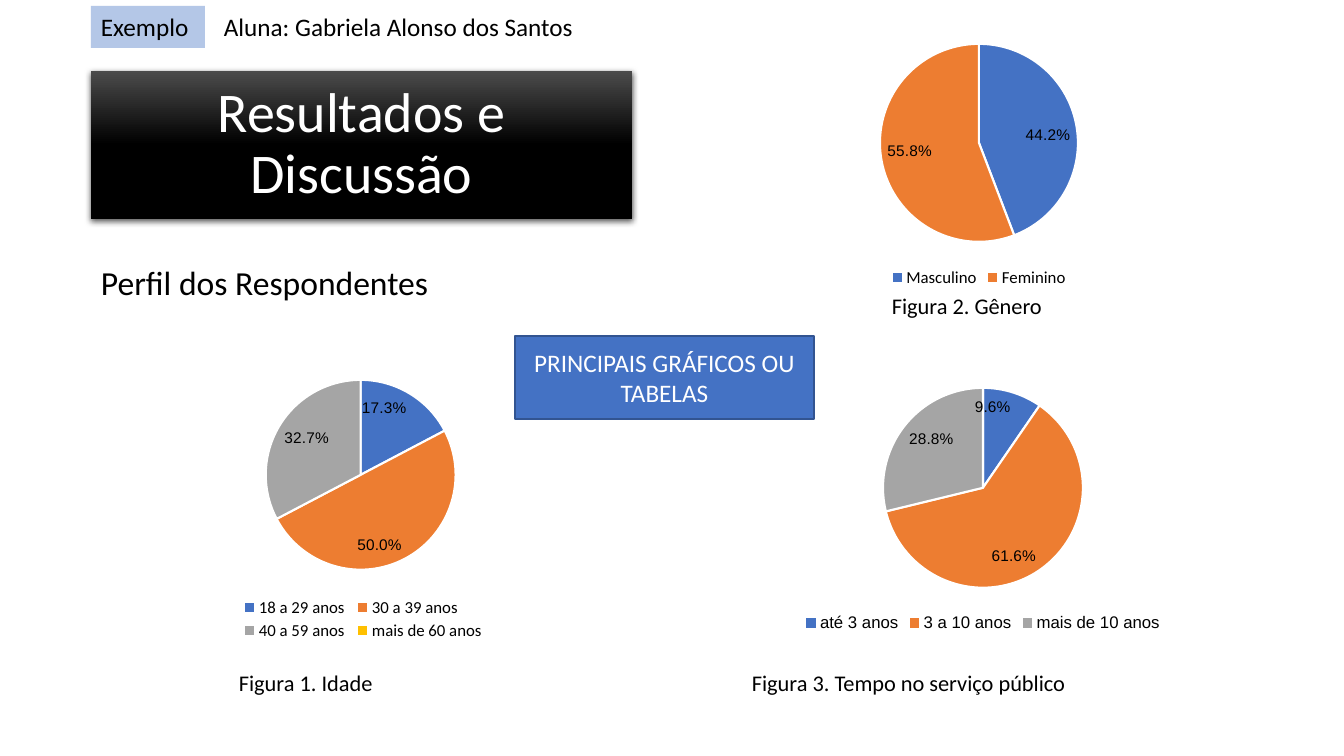
from lxml import etree
from pptx import Presentation
from pptx.chart.data import CategoryChartData
from pptx.dml.color import RGBColor
from pptx.enum.chart import XL_CHART_TYPE, XL_LABEL_POSITION, XL_LEGEND_POSITION
from pptx.enum.shapes import MSO_SHAPE
from pptx.enum.text import MSO_ANCHOR, PP_ALIGN
from pptx.oxml import parse_xml
from pptx.oxml.ns import qn
from pptx.util import Emu, Pt

PIXELS_PER_INCH = 100.8
SLICE_COLORS = ["4472C4", "ED7D31", "A5A5A5", "FFC000"]
CHART_WIDTH = 476
TITLE_SHADOW = (
    '<a:effectLst xmlns:a="http://schemas.openxmlformats.org/drawingml/2006/main">'
    '<a:outerShdw blurRad="57150" dist="19050" dir="5400000" algn="ctr" rotWithShape="0">'
    '<a:srgbClr val="000000"><a:alpha val="63000"/></a:srgbClr>'
    '</a:outerShdw></a:effectLst>'
)


def px(length):
    return Emu(round(length * 914400 / PIXELS_PER_INCH))


def color(value):
    return RGBColor.from_string(value)


def set_font(font, size, value="000000", name="Calibri"):
    font.size = Pt(size)
    font.name = name
    font.color.rgb = color(value)


def write(shape, text, size, value="000000", align=PP_ALIGN.LEFT, spacing=1.0,
          anchor=MSO_ANCHOR.TOP):
    frame = shape.text_frame
    frame.word_wrap = True
    frame.vertical_anchor = anchor
    para = frame.paragraphs[0]
    para.text = text
    para.alignment = align
    para.line_spacing = spacing
    set_font(para.font, size, value)
    return para


def add_text(page, text, area, size, **style):
    box = page.shapes.add_textbox(*map(px, area))
    return write(box, text, size, **style)


def add_caption(page, text, left, top, width=476):
    add_text(page, text, (left, top, width, 39), 16,
             align=PP_ALIGN.JUSTIFY, spacing=1.15)


def add_rectangle(page, area, fill=None, line=None):
    shape = page.shapes.add_shape(MSO_SHAPE.RECTANGLE, *map(px, area))
    shape.shadow.inherit = False
    if fill:
        shape.fill.solid()
        shape.fill.fore_color.rgb = color(fill)
    if line:
        shape.line.color.rgb = color(line)
        shape.line.width = Pt(1)
    else:
        shape.line.fill.background()
    return shape


def add_title(page, text):
    shape = add_rectangle(page, (91, 71, 541, 148))
    shape.fill.gradient()
    shape.fill.gradient_angle = 270
    for stop, position, value in zip(shape.fill.gradient_stops, (0, 0.5),
                                     ("4B4B4B", "000000")):
        stop.position = position
        stop.color.rgb = color(value)
    properties = shape._element.spPr
    properties.replace(properties.find(qn("a:effectLst")), parse_xml(TITLE_SHADOW))
    write(shape, text, 40, "FFFFFF", PP_ALIGN.CENTER, 0.9, MSO_ANCHOR.MIDDLE)


def manual_layout(target, **fractions):
    """Place a plot area or legend by fractions of the chart's size."""
    layout = target.find(qn("c:layout"))
    if layout is None:
        layout = etree.Element(qn("c:layout"))
        position = target.find(qn("c:legendPos"))
        if position is None:
            target.insert(0, layout)
        else:
            position.addnext(layout)
    for child in list(layout):
        layout.remove(child)
    manual = etree.SubElement(layout, qn("c:manualLayout"))
    if target.tag == qn("c:plotArea"):
        etree.SubElement(manual, qn("c:layoutTarget")).set("val", "inner")
    for mode in ("xMode", "yMode"):
        etree.SubElement(manual, qn(f"c:{mode}")).set("val", "edge")
    for key, value in fractions.items():
        etree.SubElement(manual, qn(f"c:{key}")).set("val", f"{value:.3f}")


def add_pie(page, left, top, height, diameter, shares, legend_font="Calibri"):
    """Draw a pie of the given pixel diameter, centred, 14 px below the chart's top."""
    data = CategoryChartData()
    data.categories = list(shares)
    data.add_series("Series 1", list(shares.values()))
    area = map(px, (left, top, CHART_WIDTH, height))
    chart = page.shapes.add_chart(XL_CHART_TYPE.PIE, *area, data).chart
    chart.has_title = False
    set_font(chart.font, 10)

    chart.has_legend = True
    chart.legend.position = XL_LEGEND_POSITION.BOTTOM
    chart.legend.include_in_layout = False
    set_font(chart.legend.font, 12, name=legend_font)

    plot = chart.plots[0]
    plot.vary_by_categories = True
    for index, value in enumerate(SLICE_COLORS[:len(shares)]):
        slice_format = plot.series[0].points[index].format
        slice_format.fill.solid()
        slice_format.fill.fore_color.rgb = color(value)
        slice_format.line.color.rgb = color("FFFFFF")
        slice_format.line.width = Pt(1.5)

    labels = plot.series[0].data_labels
    labels.show_percentage = True
    labels.show_value = False
    labels.number_format = "0.0%"
    labels.number_format_is_linked = False
    labels.position = XL_LABEL_POSITION.INSIDE_END
    set_font(labels.font, 11, name="Arial")

    plot_area = chart._chartSpace.find(".//" + qn("c:plotArea"))
    manual_layout(plot_area, x=(1 - diameter / CHART_WIDTH) / 2, y=14 / height,
                  w=diameter / CHART_WIDTH, h=diameter / height)
    return chart


def main():
    deck = Presentation()
    deck.slide_width, deck.slide_height = px(1344), px(756)
    page = deck.slides.add_slide(deck.slide_layouts[6])

    add_title(page, "Resultados e Discussão")
    subtitle = add_text(page, "Perfil dos Respondentes", (91, 261, 541, 400), 24,
                        spacing=0.9)
    subtitle.space_before = Pt(10)
    add_caption(page, "Figura 2. Gênero", 882, 283)
    add_caption(page, "Figura 1. Idade", 229, 660, 516)
    add_caption(page, "Figura 3. Tempo no serviço público", 742, 660)

    add_pie(page, 741, 30, 262, 198, {"Masculino": 44.2, "Feminino": 55.8})
    age = add_pie(page, 123, 366, 278, 190, {
        "18 a 29 anos": 17.3, "30 a 39 anos": 50,
        "40 a 59 anos": 32.7, "mais de 60 anos": None})
    manual_layout(age.legend._element, x=0.24, y=0.82, w=0.53, h=0.18)
    add_pie(page, 745, 374, 262, 200, {
        "até 3 anos": 9.6, "3 a 10 anos": 61.6, "mais de 10 anos": 28.8}, "Arial")

    banner = add_rectangle(page, (515, 336, 299, 83), "4472C4", "325491")
    write(banner, "PRINCIPAIS GRÁFICOS OU TABELAS", 18, "FFFFFF",
          PP_ALIGN.CENTER, anchor=MSO_ANCHOR.MIDDLE)
    tag = add_rectangle(page, (91, 6, 114, 42), "B4C7E7")
    write(tag, "Exemplo", 18)
    add_text(page, "Aluna: Gabriela Alonso dos Santos", (214, 6, 679, 40), 18)

    deck.save("out.pptx")


if __name__ == "__main__":
    main()
